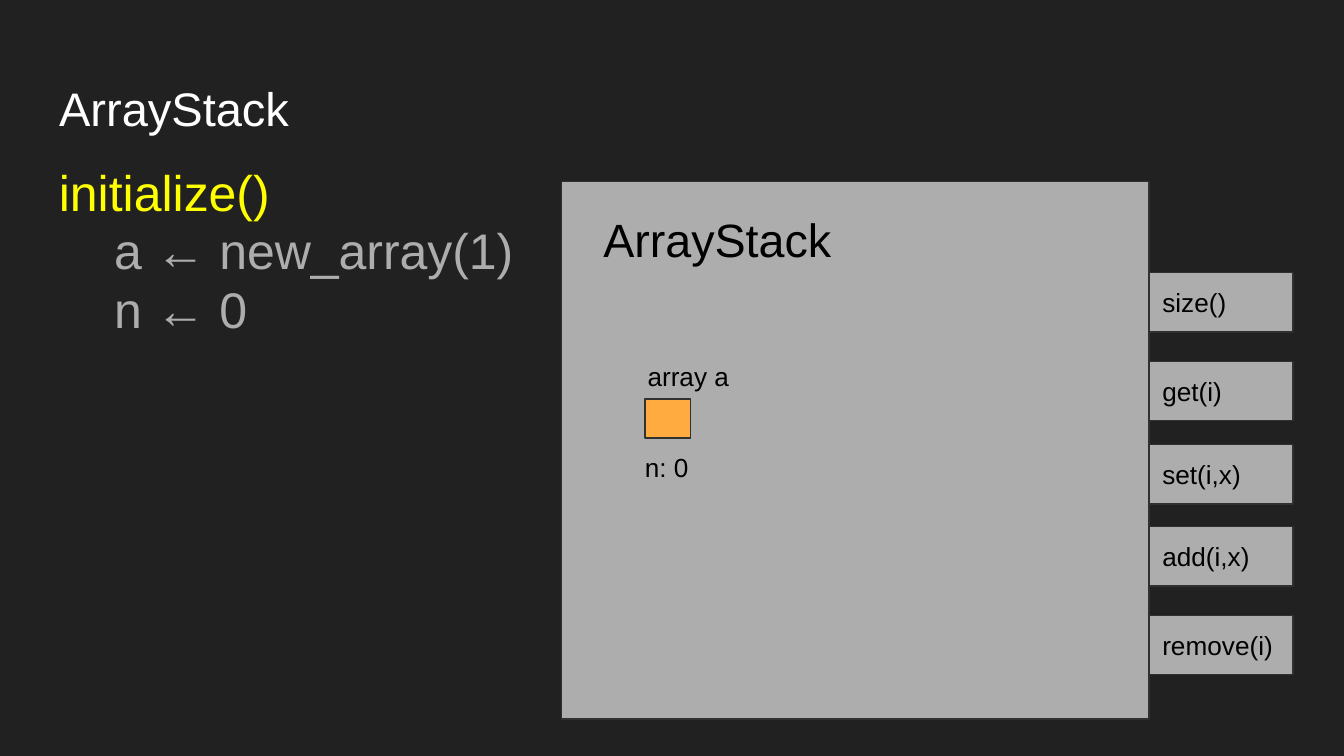
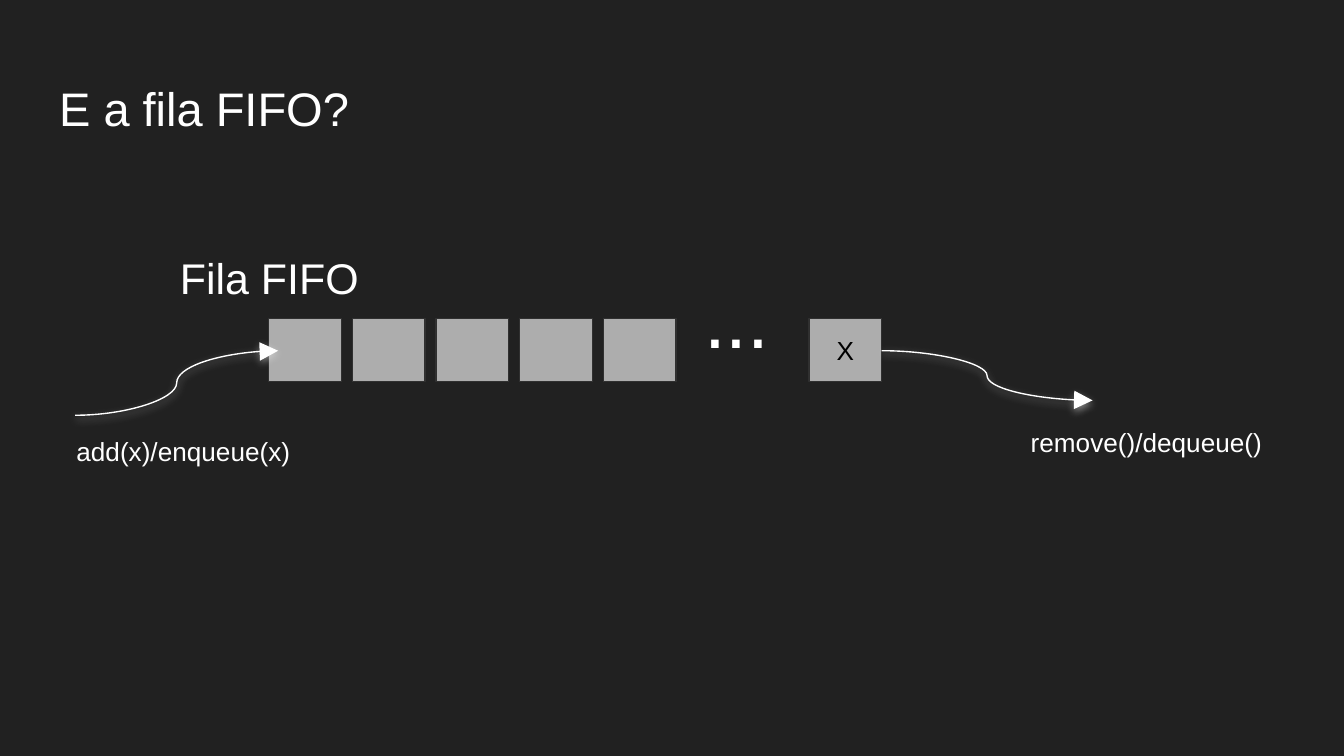
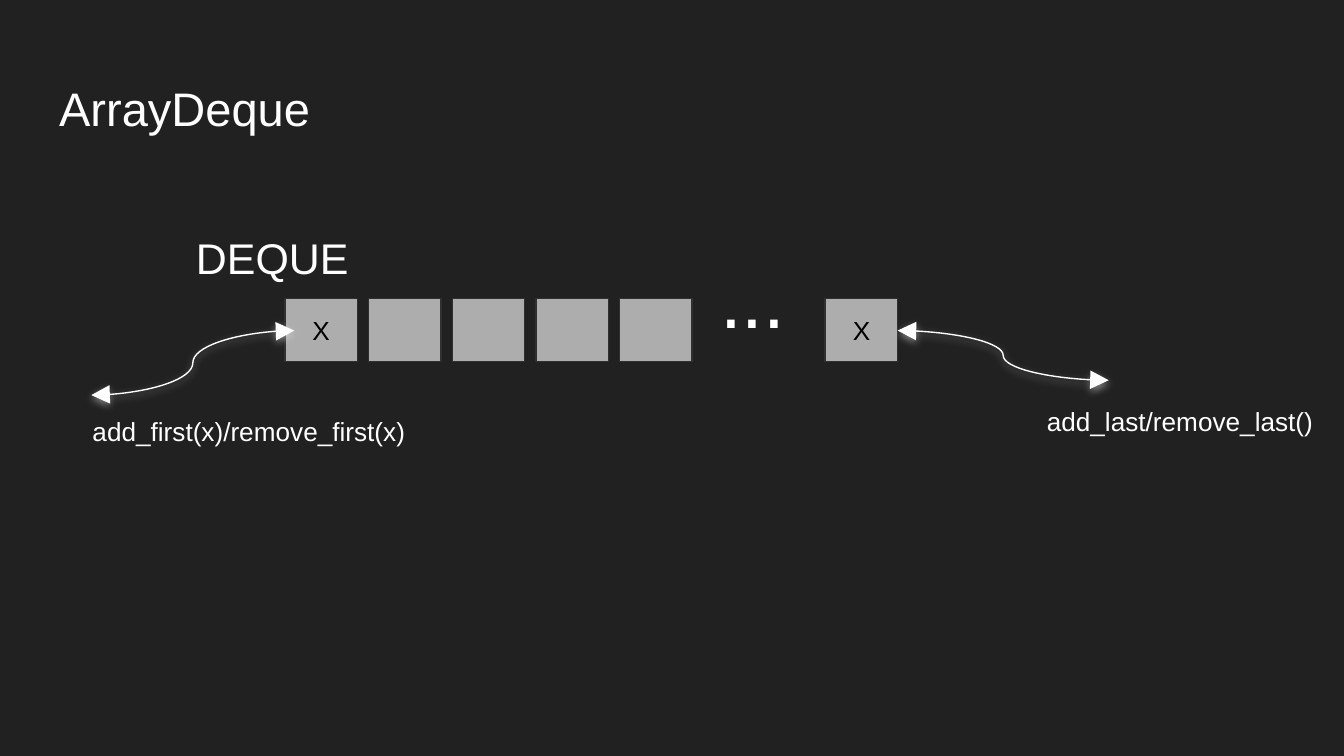
from lxml.etree import SubElement
from pptx import Presentation
from pptx.dml.color import RGBColor
from pptx.enum.shapes import MSO_CONNECTOR, MSO_SHAPE
from pptx.enum.text import MSO_ANCHOR, MSO_AUTO_SIZE, PP_ALIGN
from pptx.oxml.ns import qn
from pptx.util import Inches, Pt

FONT = "Arial"
BACKGROUND = RGBColor(0x21, 0x21, 0x21)
WHITE = RGBColor(0xFF, 0xFF, 0xFF)
BLACK = RGBColor(0x00, 0x00, 0x00)
GRAY = RGBColor(0xAD, 0xAD, 0xAD)
OUTLINE = RGBColor(0x30, 0x30, 0x30)
YELLOW = RGBColor(0xFF, 0xFF, 0x00)
ORANGE = RGBColor(0xFF, 0xAB, 0x40)
GLOW = RGBColor(0xEE, 0xEE, 0xEE)

LINE_WIDTH = Pt(0.75)
LABEL_SIZE = 14
CELL_WIDTH, CELL_HEIGHT = 0.54, 0.47
CELL_COUNT = 5
CELL_PITCH = 2.49 / (CELL_COUNT - 1)
LAST_CELL_OFFSET = 4.02


def format_paragraph(paragraph, size, color, alignment=PP_ALIGN.LEFT):
    paragraph.alignment = alignment
    for run in paragraph.runs:
        run.font.name = FONT
        run.font.size = Pt(size)
        run.font.color.rgb = color


def set_margins(text_frame):
    text_frame.margin_left = text_frame.margin_right = Inches(0.1)
    text_frame.margin_top = text_frame.margin_bottom = Inches(0.1)
    text_frame.word_wrap = True


def add_titled_slide(presentation, title_text):
    slide = presentation.slides.add_slide(presentation.slide_layouts[5])
    title = slide.shapes.title
    title.left, title.top = Inches(0.34), Inches(0.49)
    title.width, title.height = Inches(9.32), Inches(0.63)
    text_frame = title.text_frame
    text_frame.text = title_text
    set_margins(text_frame)
    text_frame.auto_size = MSO_AUTO_SIZE.NONE
    text_frame.vertical_anchor = MSO_ANCHOR.MIDDLE
    format_paragraph(text_frame.paragraphs[0], 25.2, WHITE)
    return slide


def add_label(slide, text, left, top, width, height, size=LABEL_SIZE, color=WHITE):
    label = slide.shapes.add_textbox(
        Inches(left), Inches(top), Inches(width), Inches(height)
    )
    text_frame = label.text_frame
    text_frame.text = text
    set_margins(text_frame)
    text_frame.auto_size = MSO_AUTO_SIZE.SHAPE_TO_FIT_TEXT
    format_paragraph(text_frame.paragraphs[0], size, color)


def add_box(slide, left, top, width, height, text="", fill=GRAY, alignment=PP_ALIGN.LEFT):
    box = slide.shapes.add_shape(
        MSO_SHAPE.RECTANGLE, Inches(left), Inches(top), Inches(width), Inches(height)
    )
    box.shadow.inherit = False
    box.fill.solid()
    box.fill.fore_color.rgb = fill
    box.line.color.rgb = OUTLINE
    box.line.width = LINE_WIDTH
    if text:
        text_frame = box.text_frame
        text_frame.text = text
        set_margins(text_frame)
        text_frame.vertical_anchor = MSO_ANCHOR.MIDDLE
        format_paragraph(text_frame.paragraphs[0], LABEL_SIZE, BLACK, alignment)


def add_glow(connector):
    effects = SubElement(connector._element.spPr, qn("a:effectLst"))
    shadow = SubElement(
        effects,
        qn("a:outerShdw"),
        blurRad=str(Pt(4.5)),
        dist=str(Pt(1.5)),
        dir="5400000",
        algn="bl",
        rotWithShape="0",
    )
    color = SubElement(shadow, qn("a:srgbClr"), val=str(GLOW))
    SubElement(color, qn("a:alpha"), val="50000")


def add_curved_arrow(slide, start, end, both_ends):
    connector = slide.shapes.add_connector(
        MSO_CONNECTOR.CURVE, *(Inches(value) for value in (*start, *end))
    )
    connector.line.color.rgb = WHITE
    connector.line.width = LINE_WIDTH
    line = connector.line._get_or_add_ln()
    for tag in ("a:headEnd", "a:tailEnd") if both_ends else ("a:headEnd",):
        SubElement(line, qn(tag), type="triangle", w="lg", len="lg")
    add_glow(connector)


def add_pseudocode(slide, heading, steps):
    code = slide.shapes.add_textbox(
        Inches(0.34), Inches(1.26), Inches(9.32), Inches(1.85)
    )
    text_frame = code.text_frame
    text_frame.text = "\n".join([heading, *steps])
    set_margins(text_frame)
    for index, paragraph in enumerate(text_frame.paragraphs):
        paragraph.line_spacing = 0.6
        format_paragraph(paragraph, 26.8, GRAY if index else YELLOW)
        if index:
            paragraph.space_before = Pt(12)
            properties = paragraph._p.get_or_add_pPr()
            properties.set("marL", str(Inches(0.41)))
            properties.set("indent", "0")


def add_queue(slide, left, top, name, first_text, input_label, output_label, both_ends):
    for index in range(CELL_COUNT):
        text = "" if index else first_text
        add_box(slide, left + index * CELL_PITCH, top, CELL_WIDTH, CELL_HEIGHT,
                text, alignment=PP_ALIGN.CENTER)
    last_left = left + LAST_CELL_OFFSET
    add_box(slide, last_left, top, CELL_WIDTH, CELL_HEIGHT, "X", alignment=PP_ALIGN.CENTER)

    middle = top + 0.24
    right = last_left + CELL_WIDTH
    add_curved_arrow(slide, (left + 0.07, middle), (left - 1.44, middle + 0.48), both_ends)
    add_curved_arrow(slide, (right + 1.57, middle + 0.37), (right, middle), both_ends)

    input_width = 2.54 if both_ends else 1.97
    add_label(slide, input_label, left - 1.53, top + 0.77, input_width, 0.44)
    add_label(slide, output_label, left + 5.57, top + 0.7, 2.31, 0.44)
    add_label(slide, name, left - 0.76, top - 0.6, 1.63, 0.59, 23)
    add_label(slide, "...", left + 3.14, top - 0.46, 0.78, 0.91, 42)


def add_array_stack(slide):
    add_box(slide, 4.18, 1.35, 4.37, 4)
    add_label(slide, "ArrayStack", 4.39, 1.47, 2.25, 0.62, 25, BLACK)
    add_label(slide, "array a", 4.72, 2.58, 0.84, 0.44, color=BLACK)
    add_box(slide, 4.8, 2.97, 0.34, 0.29, fill=ORANGE)
    add_label(slide, "n: 0", 4.7, 3.26, 2.59, 0.44, color=BLACK)
    operation_tops = {
        "get(i)": 2.69,
        "set(i,x)": 3.31,
        "size()": 2.03,
        "add(i,x)": 3.92,
        "remove(i)": 4.58,
    }
    for operation, top in operation_tops.items():
        add_box(slide, 8.55, top, 1.07, 0.44, operation)


def main():
    presentation = Presentation()
    presentation.slide_width = Inches(10)
    presentation.slide_height = presentation.slide_width * 9 // 16
    background = presentation.slide_master.background.fill
    background.solid()
    background.fore_color.rgb = BACKGROUND

    stack_slide = add_titled_slide(presentation, "ArrayStack")
    add_pseudocode(stack_slide, "initialize()", ["a ← new_array(1)", "n ← 0"])
    add_array_stack(stack_slide)

    fifo_slide = add_titled_slide(presentation, "E a fila FIFO?")
    add_queue(fifo_slide, 2, 2.37, "Fila FIFO", "",
              "add(x)/enqueue(x)", "remove()/dequeue()", both_ends=False)

    deque_slide = add_titled_slide(presentation, "ArrayDeque")
    add_queue(deque_slide, 2.12, 2.22, "DEQUE", "X",
              "add_first(x)/remove_first(x)", "add_last/remove_last()", both_ends=True)

    presentation.save("out.pptx")


if __name__ == "__main__":
    main()
